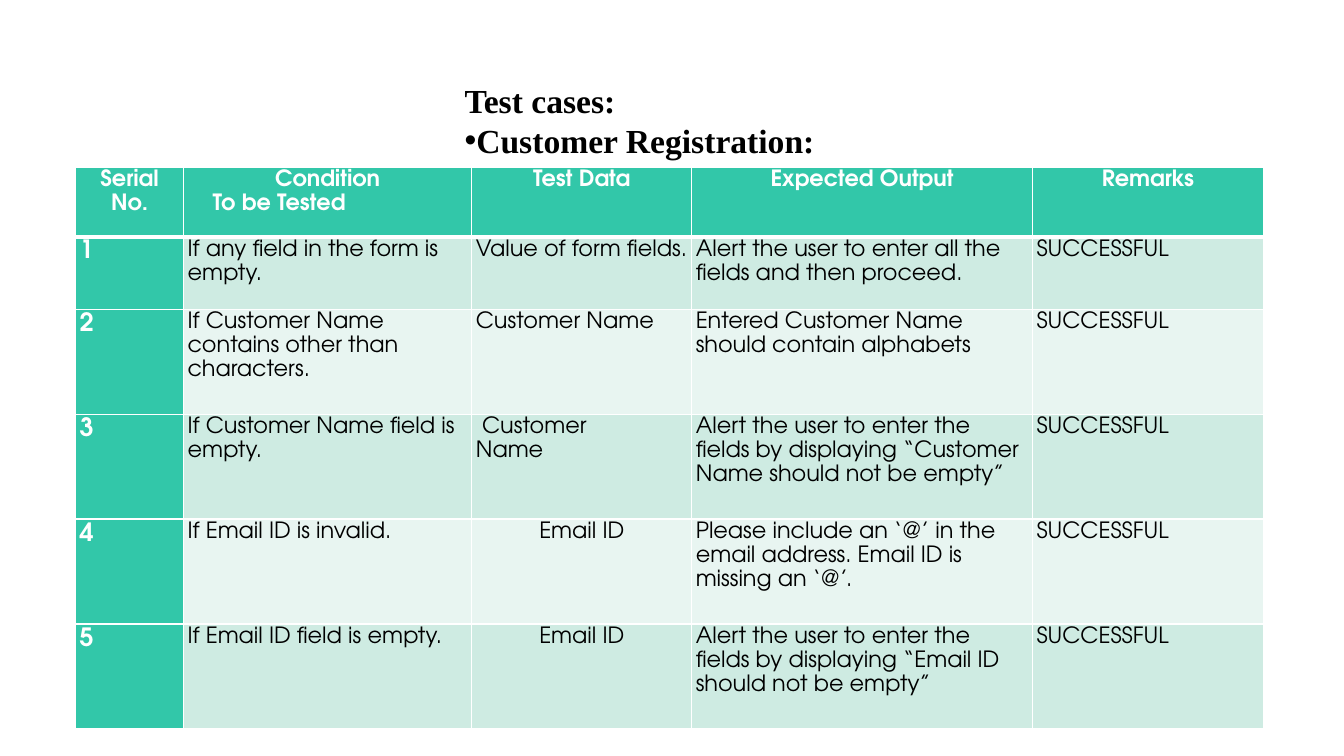
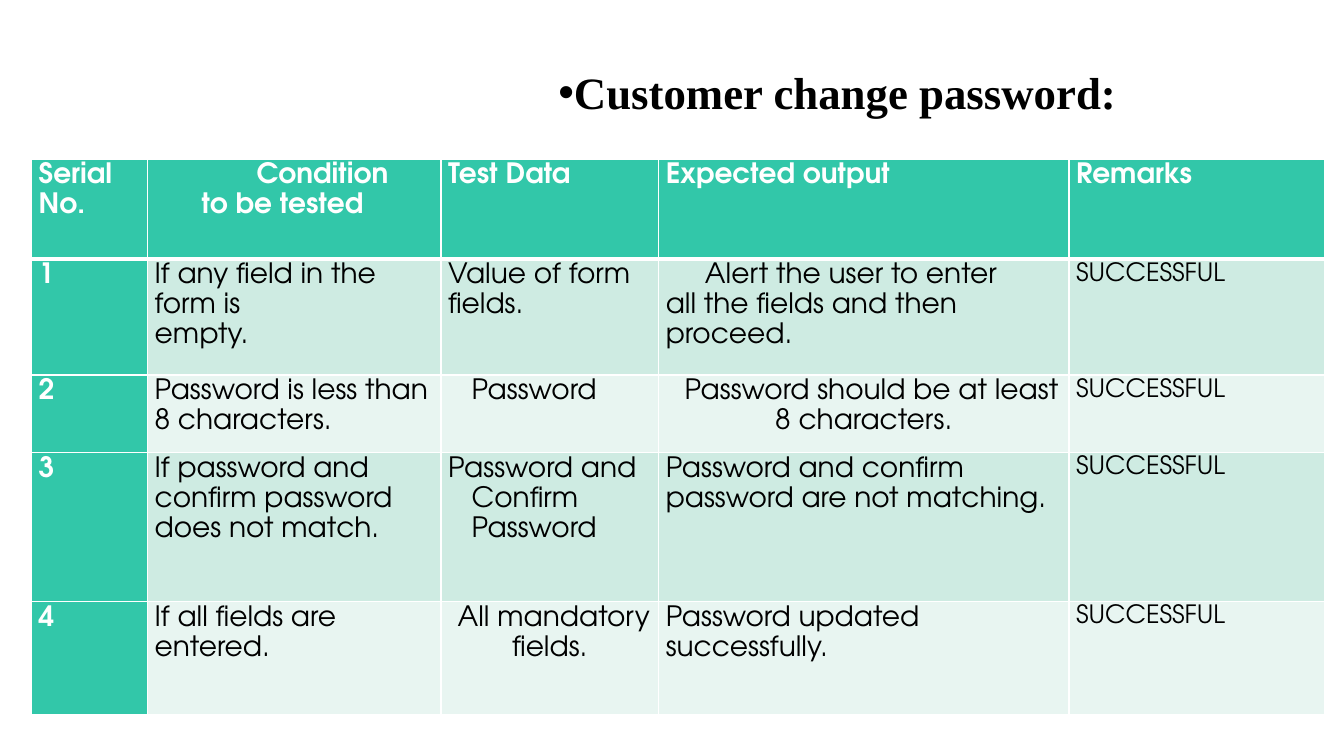
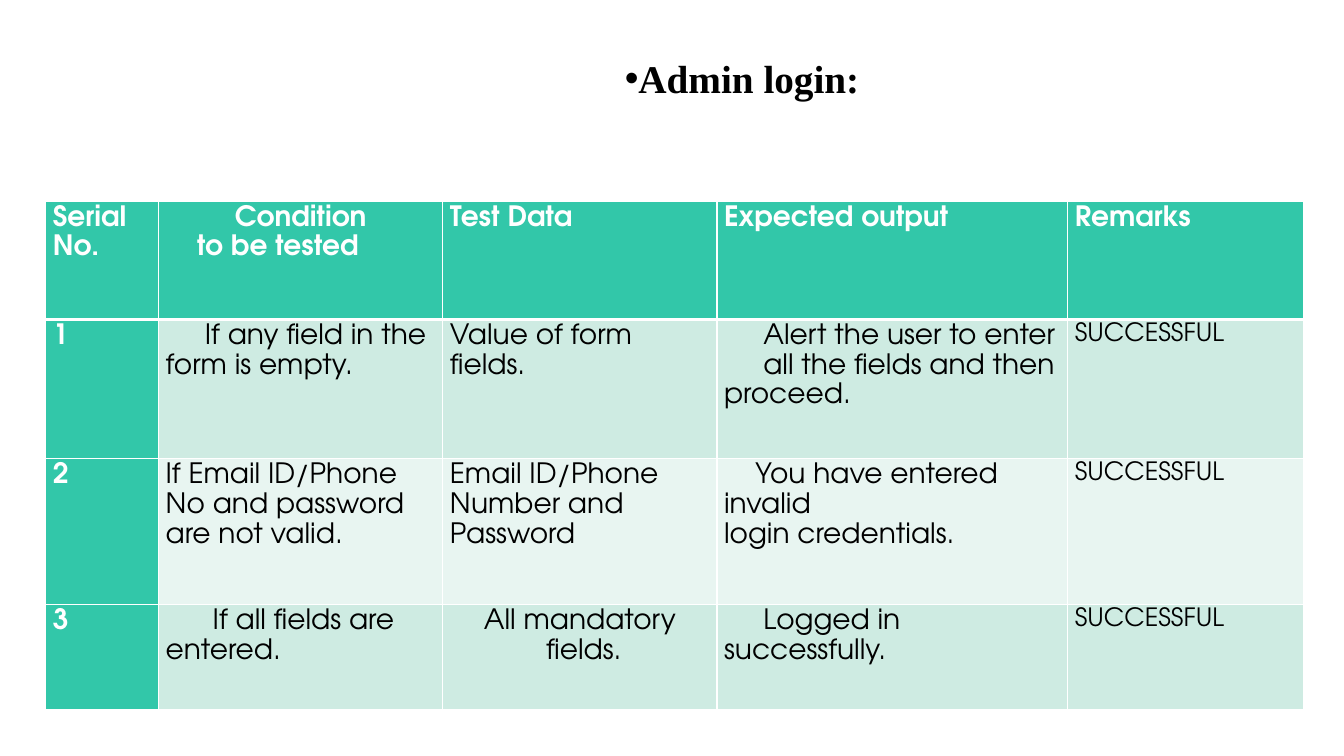
"""Build three slides of test-case tables."""
import typing

import lxml.etree
import pptx
import pptx.dml.color
import pptx.enum.text
import pptx.oxml.ns
import pptx.util

HUES = {"ink": "000000", "white": "FFFFFF", "head": "32C7A9",
        "odd": "CEEBE2", "even": "E8F5F1"}
SERIF, SANS = "Times New Roman", "TeX Gyre Adventor"
WIDTH, HEIGHT = pptx.util.Inches(13.33), pptx.util.Inches(7.5)
SPACE = 0.28
ALIGN = pptx.enum.text.PP_ALIGN
PASS = "SUCCESSFUL"


class Line(typing.NamedTuple):
    """A paragraph with a first-line indent counted in spaces."""
    text: str
    gap: int = 0
    mid: bool = False


class Look(typing.NamedTuple):
    """Text sizes and side inset of a table."""
    head: int
    count: int
    body: int
    mark: int
    inset: float


SMALL = Look(16, 18, 16, 16, 0.3)
LARGE = Look(20, 20, 20, 18, 0.53)


def wide(share):
    """Turn a percentage of the slide width into a length."""
    return int(WIDTH * share / 100)


def high(share):
    """Turn a percentage of the slide height into a length."""
    return int(HEIGHT * share / 100)


def rgb(name):
    """Look up a colour by name."""
    return pptx.dml.color.RGBColor.from_string(HUES[name])


def add(parent, tag, **attrs):
    """Append a drawing element to a parent."""
    return lxml.etree.SubElement(parent, pptx.oxml.ns.qn(tag), attrs)


def style(para, face, size, hue, bold):
    """Format the runs of a paragraph."""
    for run in para.runs:
        run.font.name = face
        run.font.size = pptx.util.Pt(size)
        run.font.bold = bold
        run.font.color.rgb = rgb(hue)


def title(slide, box, size, *lines):
    """Draw a heading whose last line is bulleted."""
    left, top, width, height = box
    frame = slide.shapes.add_textbox(
        wide(left), high(top), wide(width), high(height)).text_frame
    frame.word_wrap = True
    frame.vertical_anchor = pptx.enum.text.MSO_ANCHOR.MIDDLE
    frame.text = "\n".join(lines)
    props = frame.paragraphs[-1]._p.get_or_add_pPr()
    add(props, "a:buFont", typeface="Arial")
    add(props, "a:buChar", char="•")
    for para in frame.paragraphs:
        style(para, SERIF, size, "ink", True)


def edge(cell, row):
    """Give a cell white borders, thick below the header."""
    props = cell._tc.get_or_add_tcPr()
    for side in "LRTB":
        thick = (row, side) in ((0, "B"), (1, "T"))
        line = add(props, "a:ln" + side, w=str(pptx.util.Pt(3 if thick else 1)))
        add(add(line, "a:solidFill"), "a:srgbClr", val=HUES["white"])


def write(cell, lines, size, hue, bold):
    """Fill a cell with formatted paragraphs."""
    lines = lines if isinstance(lines, list) else [lines]
    lines = [Line(item) if isinstance(item, str) else item for item in lines]
    frame = cell.text_frame
    frame.text = "\n".join(line.text for line in lines)
    for para, line in zip(frame.paragraphs, lines):
        para.line_spacing = 1.15
        para.alignment = ALIGN.CENTER if line.mid else ALIGN.LEFT
        if line.gap:
            indent = pptx.util.Pt(line.gap * size * SPACE)
            para._p.get_or_add_pPr().set("indent", str(indent))
        style(para, SANS, size, hue, bold)


def table(slide, spot, cols, rows, look, head, cases):
    """Draw a table of numbered test cases."""
    data = [head] + [[str(num), *case, PASS] for num, case in enumerate(cases, 1)]
    grid = slide.shapes.add_table(
        len(rows), len(cols), wide(spot[0]), high(spot[1]),
        wide(sum(cols)), high(sum(rows))).table
    for col, share in zip(grid.columns, cols):
        col.width = wide(share)
    for row, share in zip(grid.rows, rows):
        row.height = high(share)
    for r, texts in enumerate(data):
        for c, lines in enumerate(texts):
            cell = grid.cell(r, c)
            cell.margin_left = cell.margin_right = wide(look.inset)
            cell.margin_top = cell.margin_bottom = 0
            edge(cell, r)
            lead = r == 0 or c == 0
            fill = "head" if lead else "odd" if r % 2 else "even"
            cell.fill.solid()
            cell.fill.fore_color.rgb = rgb(fill)
            size = (look.head if r == 0 else look.count if c == 0
                    else look.mark if c == len(cols) - 1 else look.body)
            write(cell, lines, size, "white" if lead else "ink", lead)


def signup(slide):
    """Draw the registration cases."""
    title(slide, (33.83, 9.6, 53.4, 12.53), 24,
          "Test cases:", "Customer Registration:")
    mail = Line("Email ID", mid=True)
    table(slide, (5.63, 22.13), (8.03, 21.45, 16.37, 25.35, 17.18),
          (9.2, 9.6) + (13.87,) * 4, SMALL,
          [Line("Serial No.", mid=True),
           [Line("Condition", mid=True), Line("To be Tested", 4)],
           *(Line(name, mid=True)
             for name in ("Test Data", "Expected Output", "Remarks"))],
          [("If any field in the form is empty.", "Value of form fields.",
            "Alert the user to enter all the fields and then proceed."),
           ("If Customer Name contains other than characters.", "Customer Name",
            "Entered Customer Name should contain alphabets"),
           ("If Customer Name field is empty.", [Line("Customer", 1), "Name"],
            "Alert the user to enter the fields by displaying "
            "“Customer Name should not be empty”"),
           ("If Email ID is invalid.", mail,
            "Please include an ‘@’ in the email address. "
            "Email ID is missing an ‘@’."),
           ("If Email ID field is empty.", mail,
            "Alert the user to enter the fields by displaying "
            "“Email ID should not be empty”")])


def change(slide):
    """Draw the password cases."""
    table(slide, (2.35, 21.07), (8.63, 21.83, 16.2, 30.53, 19.05),
          (13.2, 15.2, 10.27, 19.73, 14.93), LARGE,
          [["Serial", "No."], [Line("Condition", 13), Line("to be tested", 6)],
           "Test Data", "Expected output", "Remarks"],
          [(["If any field in the form is", "empty."], "Value of form fields.",
            [Line("Alert the user to enter", 5),
             "all the fields and then proceed."]),
           ("Password is less than 8 characters.", Line("Password", 3),
            Line("Password should be at least 8 characters.", 2, True)),
           ("If password and confirm password does not match.",
            ["Password and", Line("Confirm", 3), Line("Password", 3)],
            "Password and confirm password are not matching."),
           ("If all fields are entered.",
            Line("All mandatory fields.", 1, True),
            "Password updated successfully.")])
    title(slide, (40.8, 7.87, 43.43, 8.53), 32, "Customer change password:")


def login(slide):
    """Draw the admin login cases."""
    table(slide, (3.4, 26.67), (8.4, 21.15, 20.4, 26.1, 17.55),
          (15.6, 18.4, 19.33, 13.87), LARGE,
          ["Serial No.", [Line("Condition", mid=True), Line("to be tested", 4)],
           "Test Data", "Expected output", "Remarks"],
          [(Line("If any field in the form is empty.", 5),
            "Value of form fields.",
            [Line("Alert the user to enter", 5),
             Line("all the fields and then proceed.", 5)]),
           ("If Email ID/Phone No and password are not valid.",
            "Email ID/Phone Number and Password",
            [Line("You have entered invalid", 4), "login credentials."]),
           (Line("If all fields are entered.", 6),
            [Line("All mandatory", mid=True), Line("fields.", 1, True)],
            Line("Logged in successfully.", 5))])
    title(slide, (45.75, 6.53, 21.23, 7.6), 28, "Admin login:")


def main():
    """Build and save the deck."""
    deck = pptx.Presentation()
    deck.slide_width, deck.slide_height = WIDTH, HEIGHT
    for draw in (signup, change, login):
        draw(deck.slides.add_slide(deck.slide_layouts[6]))
    deck.save("out.pptx")


if __name__ == "__main__":
    main()
